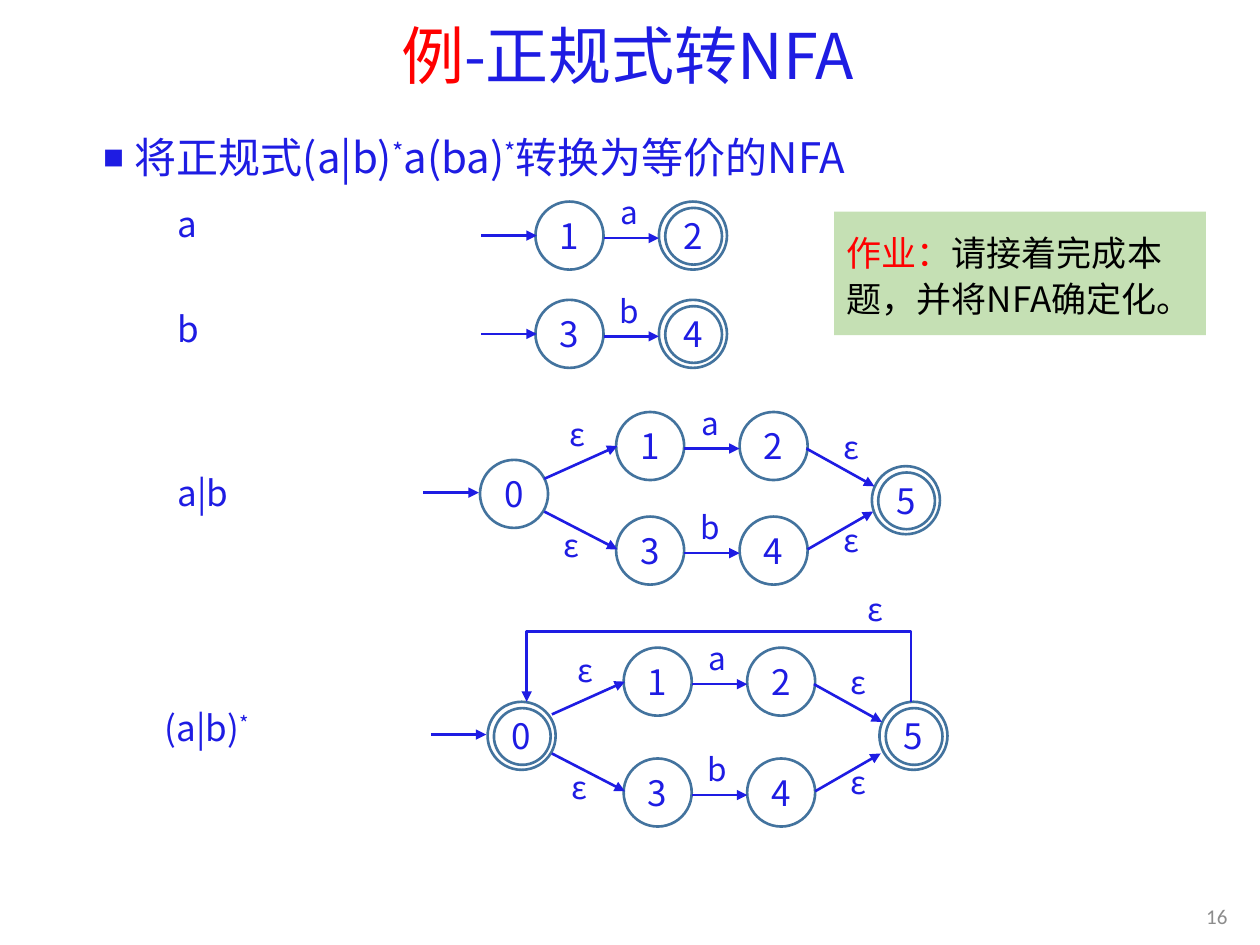
from lxml import etree
from pptx import Presentation
from pptx import util as u
from pptx.dml import color
from pptx.enum import shapes, text
from pptx.oxml import ns

BLUE, RED, RING = "1E1CE3", "FF0000", "43739E"
SANS = "Noto Sans CJK SC"
LEFT, CENTER, RIGHT = text.PP_ALIGN.LEFT, text.PP_ALIGN.CENTER, text.PP_ALIGN.RIGHT


def write(box, spans, size, align=LEFT, font=SANS):
    frame = box.text_frame
    frame.word_wrap = True
    frame.vertical_anchor = text.MSO_ANCHOR.MIDDLE
    para = frame.paragraphs[0]
    para.alignment = align
    for words, paint, baseline in spans:
        span = para.add_run()
        span.text = words
        span.font.size = u.Pt(size)
        span.font.name = font
        span.font.color.rgb = color.RGBColor.from_string(paint)
        properties = span._r.get_or_add_rPr()
        etree.SubElement(properties, ns.qn("a:ea"), typeface=font)
        if baseline:
            properties.set("baseline", str(baseline * 1000))
    return para


def draw_line(shape, paint, arrow=False):
    shape.line.color.rgb = color.RGBColor.from_string(paint)
    shape.line.width = u.Pt(1.5)
    if arrow:
        etree.SubElement(shape.line._get_or_add_ln(), ns.qn("a:tailEnd"), type="triangle")


deck = Presentation()
deck.slide_width, deck.slide_height = u.Inches(10), u.Inches(7.5)
cell = deck.slide_width // 100
page = deck.slides.add_slide(deck.slide_layouts[1])

title, body = page.placeholders
title.left, title.top, title.width, title.height = [round(v * cell) for v in (6.7, 0.9, 86.2, 7.6)]
para = write(title, [("例", RED, 0), ("-正规式转NFA", BLUE, 0)], 36, CENTER, "Noto Sans CJK JP")
para.line_spacing = 0.9

body.left, body.top, body.width, body.height = [round(v * cell) for v in (7.2, 9.1, 68.7, 6.4)]
para = write(body, [("将正规式(a|b)", BLUE, 0), ("*", BLUE, 30), ("a(ba)", BLUE, 0),
                    ("*", BLUE, 30), ("转换为等价的NFA", BLUE, 0)], 24)
body.text_frame.vertical_anchor = text.MSO_ANCHOR.TOP
para.line_spacing = u.Pt(35)
para.space_before, para.space_after = u.Pt(0), u.Pt(6)
indents = para._p.get_or_add_pPr()
indents.set("marL", str(u.Inches(0.25)))
indents.set("indent", str(-u.Inches(0.25)))
etree.SubElement(indents, ns.qn("a:buSzPct"), val="50000")
etree.SubElement(indents, ns.qn("a:buFont"), typeface=SANS)
etree.SubElement(indents, ns.qn("a:buChar"), char="■")

states, finals, arrows, labels = [], [], [], []

for x, y, first, second, letter in [
    (42.5, 16, "1", "2", "a"), (42.5, 23.8, "3", "4", "b"),
    (48.9, 32.7, "1", "2", "a"), (48.9, 41, "3", "4", "b"),
    (49.5, 51.4, "1", "2", "a"), (49.5, 60.2, "3", "4", "b"),
]:
    states += [(x, y, first), (x + 9.8, y, second)]
    arrows.append((x + 5.4, y + 2.9, x + 9.8, y + 2.9))
    labels.append((x + 5.2, y - 1, letter))

for y in (16, 23.8):
    finals.append((52.3, y))
    arrows.append((38.2, y + 2.7, 42.6, y + 2.7))

for shift, upper, lower, end in [(0, 0, 0, 37), (0.6, 18.7, 19.2, 55.7)]:
    states += [(38.1 + shift, 36.5 + lower, "0"), (69.2 + shift, end, "5")]
    finals.append((69.2 + shift, end))
    arrows += [
        (33.6 + shift, 39.1 + lower, 38 + shift, 39.1 + lower),
        (43.2 + shift, 38 + upper, 49 + shift, 35.4 + upper),
        (43.2 + shift, 40.6 + lower, 49 + shift, 43.6 + lower),
        (64 + shift, 35.6 + upper, 69.4 + shift, 38.6 + upper),
        (64.1 + shift, 43.6 + lower, 69.3 + shift, 40.6 + lower),
    ]
    labels += [(43.6 + shift, 32.6 + upper, "ε"), (65.3 + shift, 33.6 + upper, "ε"),
               (43.1 + shift, 41.4 + lower, "ε"), (65.3 + shift, 41 + lower, "ε")]
finals.append((38.7, 55.7))
labels.append((67.2, 46.5, "ε"))

rings = [(x, y, 5.4, name) for x, y, name in states]
rings += [(x + 0.5, y + 0.5, 4.5, "") for x, y in finals]
for x, y, size, name in rings:
    ring = page.shapes.add_shape(shapes.MSO_SHAPE.OVAL, *[round(v * cell) for v in (x, y, size, size)])
    ring.shadow.inherit = False
    ring.fill.background()
    draw_line(ring, RING)
    if name:
        write(ring, [(name, BLUE, 0)], 20, CENTER)

for ends in arrows:
    arrow = page.shapes.add_connector(shapes.MSO_CONNECTOR.STRAIGHT, *[round(v * cell) for v in ends])
    draw_line(arrow, BLUE, True)
    etree.SubElement(arrow._element.spPr, ns.qn("a:effectLst"))

outline = page.shapes.build_freeform(round(72.3 * cell), round(55.7 * cell))
outline.add_line_segments([(round(x * cell), round(y * cell))
                           for x, y in [(72.3, 50.1), (41.8, 50.1), (41.8, 55.7)]], close=False)
loop = outline.convert_to_shape()
loop.shadow.inherit = False
loop.fill.background()
draw_line(loop, BLUE, True)

captions = [(x, y, 4.5, 3.7, [(name, BLUE, 0)], 18, CENTER, SANS) for x, y, name in labels]
captions += [
    (13.1, 15.9, 4.5, 3.7, [("a", BLUE, 0)], 20, LEFT, SANS),
    (13.1, 24.2, 4.5, 3.7, [("b", BLUE, 0)], 20, LEFT, SANS),
    (13.1, 37.1, 8.9, 3.9, [("a|b", BLUE, 0)], 20, LEFT, SANS),
    (12.1, 55.8, 12.3, 3.9, [("(a|b)", BLUE, 0), ("*", BLUE, 30)], 20, LEFT, SANS),
    (90.3, 70.7, 8.1, 4, [("16", "8C8C8C", 0)], 12, RIGHT, "Calibri"),
]
for x, y, width, height, spans, size, align, font in captions:
    box = page.shapes.add_textbox(*[round(v * cell) for v in (x, y, width, height)])
    write(box, spans, size, align, font)

homework = page.shapes.add_shape(shapes.MSO_SHAPE.RECTANGLE,
                                 *[round(v * cell) for v in (66.2, 16.8, 29.5, 9.8)])
homework.shadow.inherit = False
homework.fill.solid()
homework.fill.fore_color.rgb = color.RGBColor.from_string("C5E0B4")
homework.line.fill.background()
para = write(homework, [("作业：", RED, 0), ("请接着完成本题，并将NFA确定化。", "000000", 0)], 20)
para.line_spacing = 1.1

deck.save("out.pptx")
